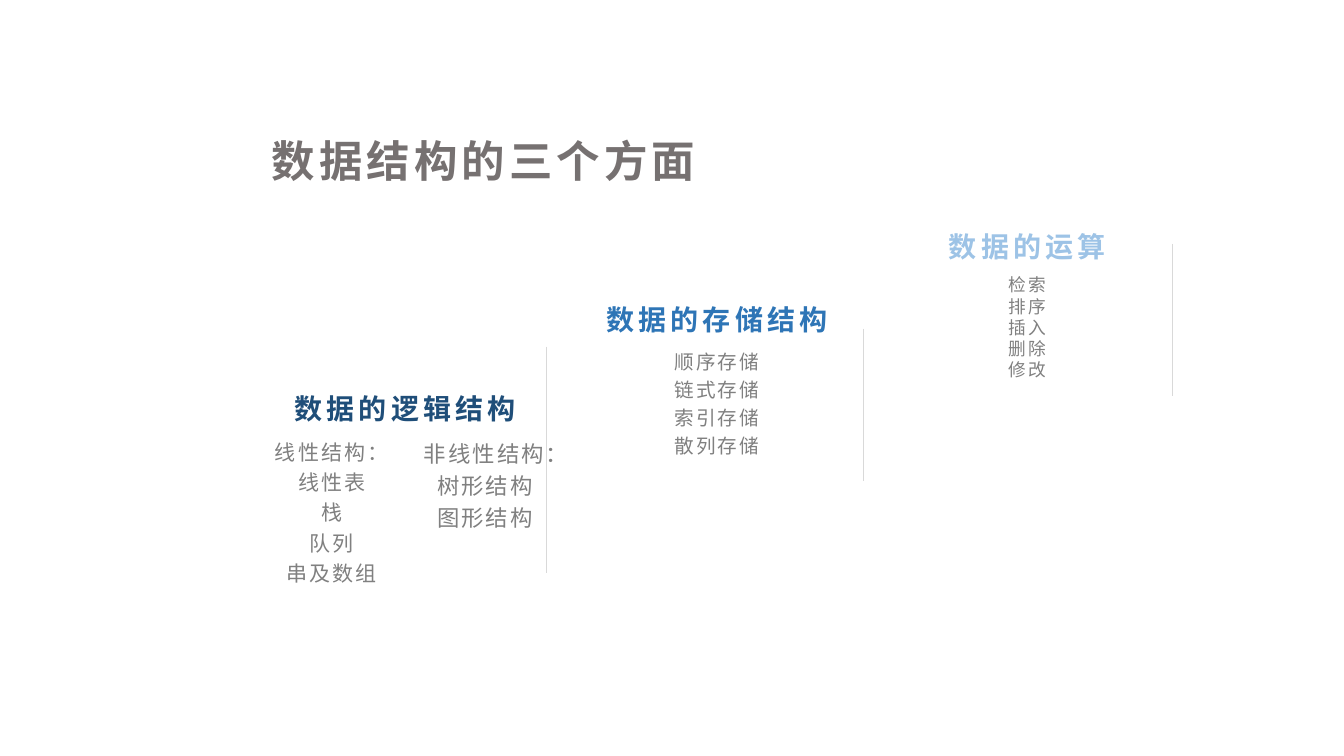
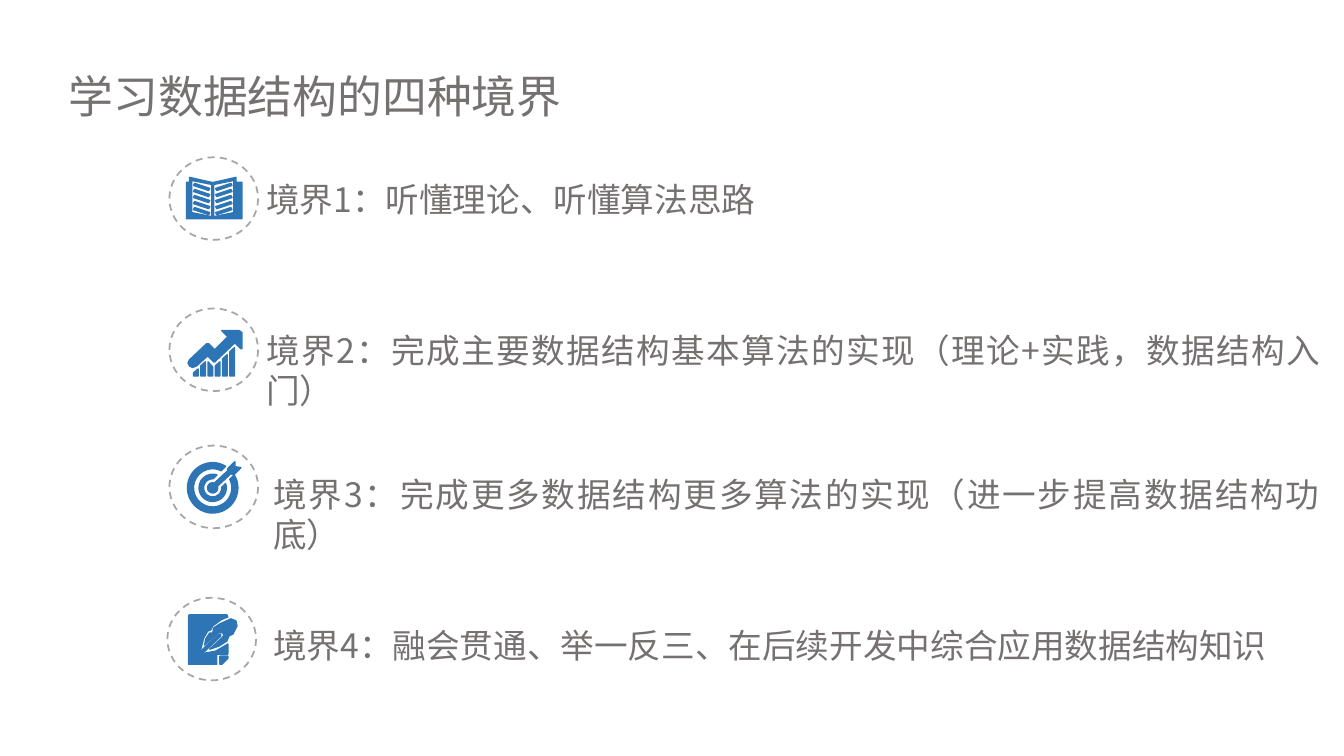
from math import asin, cos, degrees, radians, sin

from lxml.etree import SubElement
from pptx import Presentation
from pptx.dml.color import RGBColor
from pptx.enum.dml import MSO_LINE
from pptx.enum.shapes import MSO_CONNECTOR as CONN, MSO_SHAPE as SHAPE
from pptx.enum.text import MSO_ANCHOR as ANCHOR, MSO_AUTO_SIZE as AUTO, PP_ALIGN as ALIGN
from pptx.oxml.ns import qn
from pptx.util import Inches, Pt

FONT = "Noto Sans CJK SC"
GREY, LIST_GREY, RULE_GREY, DASH_GREY = "767171", "808080", "D9D9D9", "A6A6A6"
NAVY, BLUE, SKY = "1F4E79", "2E75B6", "9DC3E6"
CELL = 0.5
COMPARISON = 4

HEAD = dict(size=20, bold=True, spc=3, ls=1.2, align=ALIGN.CENTER,
            anchor=ANCHOR.MIDDLE, ins=(0.1, 0.05, 0.1, 0))
TITLE = HEAD | dict(size=31, color=GREY)
LIST = dict(color=LIST_GREY, spc=1.5, ls=1.2, align=ALIGN.CENTER, ins=(0.1, 0, 0.1, 0.05))
STAGE = dict(size=24, color=GREY, align=ALIGN.JUSTIFY)
PLAIN_TITLE = STAGE | dict(size=32, ins=(0, 0, 0, 0))


def rgb(value):
    """Turn a hex string into a colour."""
    return RGBColor.from_string(value)


def grid(*cells):
    """Turn grid columns and rows into lengths."""
    return [Inches(c * CELL) for c in cells]


def assign(obj, values):
    """Set attributes from a dict of format values."""
    for name, value in values.items():
        setattr(obj, name, value)


def arc(r, start, end, cx=43, cy=42):
    """Return points along an arc, in hundredths of an inch."""
    steps = [radians(start + (end - start) * i / 40) for i in range(41)]
    return [(cx + r * cos(a), cy + r * sin(a)) for a in steps]


def ring(outer, inner, half_gap=6):
    """Return a ring that is open towards the upper right."""
    g, h = (degrees(asin(half_gap / r)) for r in (outer, inner))
    return arc(outer, g - 45, 315 - g) + arc(inner, 315 - h, h - 45)


def book():
    """Return the contours of an open book."""
    cover = [(66, 25), (66, 20), (44, 25), (42, 25), (20, 20), (20, 25),
             (17, 25), (17, 61), (72, 61), (72, 25)]
    left = [[(22, 23), (42, 27), (42, 59), (22, 55)]]
    left += [[(24, 28 + y), (25, 26 + y), (40, 31 + y), (39, 33 + y)]
             for y in range(0, 30, 6)]
    right = [[(86 - x, y) for x, y in c] for c in left]
    return [cover] + left + right


def growth():
    """Return the contours of rising bars under an arrow."""
    tops = [(64, 60), (57, 53), (53, 58), (57, 53), (50, 46), (43, 39)]
    bars = [[(x, 67), (x, a), (x + 4.5, b), (x + 4.5, 67)]
            for x, (a, b) in ((24 + 7.2 * i, t) for i, t in enumerate(tops))]
    arrow = [(53, 22), (69, 22), (72, 24), (72, 40), (71, 40), (65, 34), (45, 53),
             (44, 53), (38, 47), (27, 57), (23, 58.5), (20, 57), (18.5, 54),
             (20, 51), (37, 35), (39, 35), (45, 41), (58, 28), (52, 22)]
    return bars + [arrow]


def target():
    """Return the contours of a target with a dart."""
    dart = [(65, 16), (65, 21), (71, 22), (64, 29), (61, 28), (47, 41)]
    dart += arc(5, -10, 280) + [(44, 38), (58, 25), (58, 23)]
    return [ring(25, 19), ring(13.5, 9), dart]


def quill():
    """Return the contours of a sheet with a feather pen."""
    sheet = [(22, 17), (59, 17), (60, 19), (53, 22), (45, 28), (43, 32), (40, 33),
             (36, 40), (33, 52), (29, 57), (31, 59), (37, 55), (48, 53), (60, 46),
             (60, 56), (49, 56), (49, 66), (21, 66), (21, 18)]
    fold = [(52, 58), (60, 58), (60, 60), (54, 66), (52, 66)]
    shaft = [(51, 36), (53, 36), (53, 38), (32, 58), (30, 58), (30, 56)]
    feather = [(63, 21), (68, 23), (69, 28), (65, 36), (61, 38), (59, 43), (51, 48),
               (42, 51), (55, 39), (56, 37), (55, 35), (52, 34), (50, 35), (37, 47),
               (38, 41), (42, 35), (45, 35), (46, 30), (52, 26)]
    return [sheet, fold, shaft, feather]


class Deck:
    """Hold the shared style and the current slide."""

    def __init__(self):
        """Start a wide presentation."""
        self.prs = Presentation()
        assign(self.prs, dict(slide_width=Inches(13.33), slide_height=Inches(7.5)))

    def slide(self, title, at, fmt):
        """Add a slide with its title."""
        self.s = self.prs.slides.add_slide(self.prs.slide_layouts[COMPARISON])
        self.bodies = iter([p for p in self.s.placeholders if p.placeholder_format.idx])
        self.set_text(self.s.shapes.title, at, [title], fmt)

    def body(self, at, lines, fmt):
        """Fill the next body placeholder."""
        self.set_text(next(self.bodies), at, lines, fmt)

    def heading(self, at, text, color):
        """Add a coloured heading."""
        box = self.s.shapes.add_textbox(*grid(*at))
        self.set_text(box, at, [text], HEAD | dict(color=color))

    def set_text(self, sp, at, lines, fmt):
        """Place a shape and fill it with formatted paragraphs."""
        assign(sp, dict(zip(("left", "top", "width", "height"), grid(*at))))
        tf = sp.text_frame
        sides = ("margin_left", "margin_top", "margin_right", "margin_bottom")
        margins = map(Inches, fmt.get("ins", (0.1, 0.05, 0.1, 0.05)))
        assign(tf, dict(zip(sides, margins)) | dict(
            word_wrap=True, auto_size=AUTO.NONE,
            vertical_anchor=fmt.get("anchor", ANCHOR.TOP)))
        for i, line in enumerate(lines):
            p = tf.add_paragraph() if i else tf.paragraphs[0]
            assign(p, dict(alignment=fmt["align"], line_spacing=fmt.get("ls", 1.0),
                           space_before=Pt(0), space_after=Pt(0)))
            pPr = p._p.get_or_add_pPr()
            pPr.set("marL", "0")
            pPr.set("indent", "0")
            SubElement(pPr, qn("a:buNone"))
            r = p.add_run()
            r.text = line
            assign(r.font, dict(name=FONT, size=Pt(fmt["size"]), bold=fmt.get("bold", False)))
            r.font.color.rgb = rgb(fmt["color"])
            rPr = r._r.get_or_add_rPr()
            rPr.set("spc", str(int(fmt.get("spc", 0) * 100)))
            SubElement(rPr, qn("a:ea")).set("typeface", FONT)

    def outline(self, sp, color, width):
        """Format a line or an outline."""
        sp.line.color.rgb = rgb(color)
        sp.line.width = Pt(width)

    def rule(self, x, top, bottom):
        """Add a thin vertical rule."""
        c = self.s.shapes.add_connector(CONN.STRAIGHT, *grid(x, top, x, bottom))
        self.outline(c, RULE_GREY, 0.25)
        SubElement(c._element.spPr, qn("a:effectLst"))

    def medallion(self, x, y, contours):
        """Add an icon inside a dashed circle."""
        (x0, y0), *_ = contours[0]
        fb = self.s.shapes.build_freeform(x0 * 10, y0 * 10, scale=914.4)
        for i, contour in enumerate(contours):
            pts = [(px * 10, py * 10) for px, py in contour]
            if i:
                fb.move_to(*pts[0])
            fb.add_line_segments(pts[1:], close=True)
        icon = fb.convert_to_shape(*grid(x, y))
        icon.fill.solid()
        icon.fill.fore_color.rgb = rgb(BLUE)
        self.outline(icon, BLUE, 1)
        circle = self.s.shapes.add_shape(SHAPE.OVAL, *grid(x, y, 1.76, 1.64))
        circle.fill.background()
        self.outline(circle, DASH_GREY, 1.25)
        circle.line.dash_style = MSO_LINE.DASH
        for sp in (icon, circle):
            sp.shadow.inherit = False


def aspects(deck):
    """Build the slide of three aspects."""
    deck.slide("数据结构的三个方面", (4.96, 2.26, 9.26, 1.52), TITLE)
    for x, y, text, color in ((5.16, 7.44, "数据的逻辑结构", NAVY),
                              (11.34, 5.68, "数据的存储结构", BLUE),
                              (17.5, 4.24, "数据的运算", SKY)):
        deck.heading((x, y, 5.76, 1.08), text, color)
    for at, size, ls, text in (
            ((5.16, 8.62, 2.84, 2.4), 15, 1.2, "线性结构： 线性表 栈 队列 串及数组"),
            ((8.2, 8.62, 2.84, 2.4), 16, 1.2, "非线性结构： 树形结构 图形结构"),
            ((11.34, 6.84, 5.76, 2.42), 14, 1.2, "顺序存储 链式存储 索引存储 散列存储"),
            ((17.5, 5.44, 5.76, 2.42), 12.6, 1.0, "检索 排序 插入 删除 修改")):
        deck.body(at, text.split(), LIST | dict(size=size, ls=ls))
    for x, top, bottom in ((10.84, 6.88, 11.36), (17.12, 6.52, 9.54), (23.26, 4.84, 7.86)):
        deck.rule(x, top, bottom)


def stages(deck):
    """Build the slide of four stages."""
    deck.slide("学习数据结构的四种境界", (1.36, 1.36, 12, 1.08), PLAIN_TITLE)
    rows = (
        (3.36, 3.12, book, 5.08, 3.44, 12.32, "听懂理论、听懂算法思路"),
        (3.36, 6.12, growth, 5.08, 6.44, 21.3,
         "完成主要数据结构基本算法的实现（理论+实践，数据结构入门）"),
        (3.36, 8.84, target, 5.22, 9.3, 21.16,
         "完成更多数据结构更多算法的实现（进一步提高数据结构功底）"),
        (3.32, 11.86, quill, 5.22, 12.3, 21.04,
         "融会贯通、举一反三、在后续开发中综合应用数据结构知识"),
    )
    for n, (x, y, icon, left, top, width, text) in enumerate(rows, 1):
        deck.medallion(x, y, icon())
        deck.body((left, top, width, 1), [f"境界{n}：{text}"], STAGE)


def main():
    """Build and save the slides."""
    deck = Deck()
    aspects(deck)
    stages(deck)
    deck.prs.save("out.pptx")


if __name__ == "__main__":
    main()
